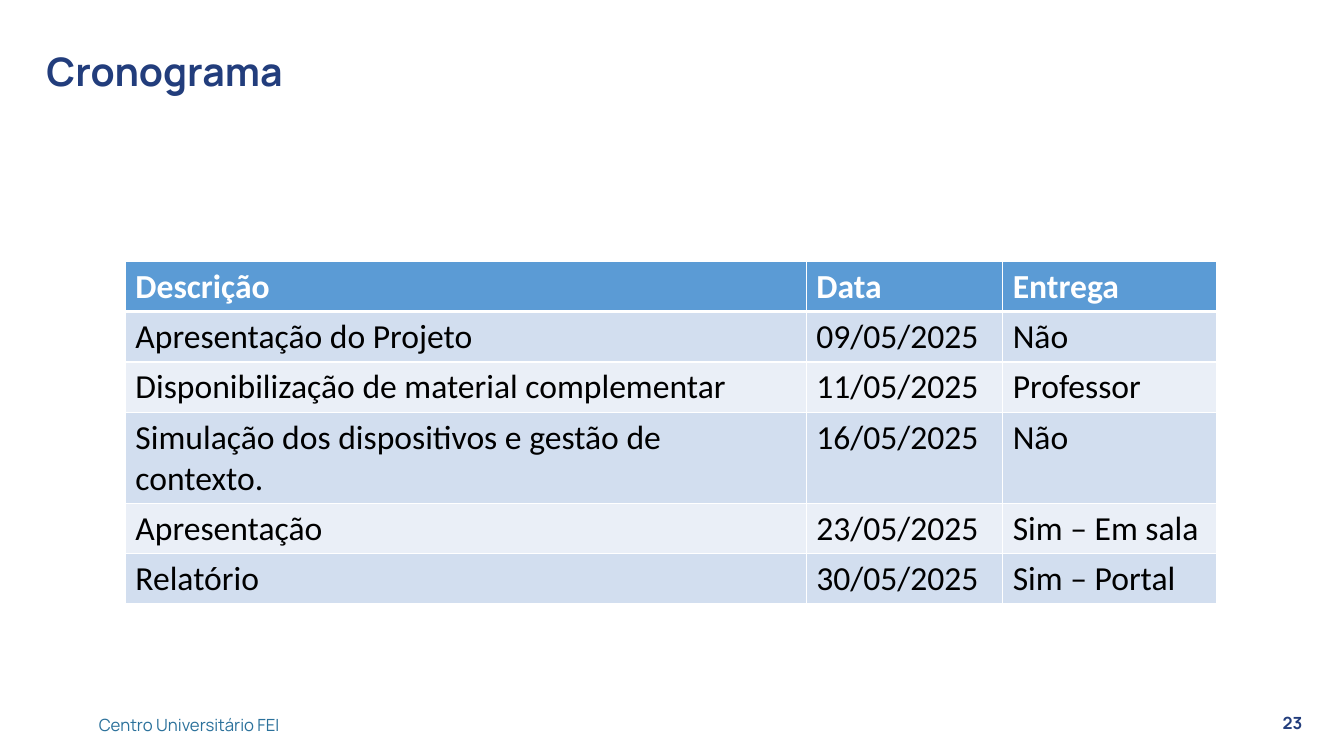
from dataclasses import dataclass
from typing import Optional

from lxml.etree import SubElement
from pptx import Presentation
from pptx.dml.color import RGBColor
from pptx.enum.shapes import MSO_SHAPE
from pptx.enum.text import MSO_ANCHOR, PP_ALIGN
from pptx.oxml.ns import qn
from pptx.slide import Slide
from pptx.table import _Cell as Cell
from pptx.text.text import _Paragraph as Paragraph
from pptx.util import Cm, Pt

NAVY = RGBColor(0x22, 0x3D, 0x7C)
TEAL = RGBColor(0x2B, 0x71, 0x9B)
WHITE = RGBColor(0xFF, 0xFF, 0xFF)
BLACK = RGBColor(0x00, 0x00, 0x00)
HEADER_BLUE = RGBColor(0x5B, 0x9B, 0xD5)
BAND_DARK = RGBColor(0xD2, 0xDE, 0xEF)
BAND_LIGHT = RGBColor(0xEA, 0xEF, 0xF7)

COLUMN_WIDTHS = (17.16, 4.95, 5.38)
TABLE_HEIGHT = 7.62
ROW_HEIGHT = 1.03
SCHEDULE = (
    ("Descrição", "Data", "Entrega"),
    ("Apresentação do Projeto", "09/05/2025", "Não"),
    ("Disponibilização de material complementar", "11/05/2025", "Professor"),
    ("Simulação dos dispositivos e gestão de contexto.", "16/05/2025", "Não"),
    ("Apresentação", "23/05/2025", "Sim – Em sala"),
    ("Relatório", "30/05/2025", "Sim – Portal"),
)


@dataclass(frozen=True)
class Label:
    text: str
    left: float
    top: float
    width: float
    height: float
    size: int
    color: RGBColor
    bold: bool = False
    align: PP_ALIGN = PP_ALIGN.LEFT
    anchor: MSO_ANCHOR = MSO_ANCHOR.TOP
    fill: Optional[RGBColor] = None


LABELS = (
    Label("Cronograma", 0.92, 0.43, 31.98, 2.87, 28, NAVY, True,
          anchor=MSO_ANCHOR.MIDDLE),
    Label("Centro Universitário FEI", 2.24, 17.95, 24.41, 0.71, 12, TEAL),
    Label("23", 31.47, 17.88, 1.6, 0.71, 12, NAVY, True, PP_ALIGN.RIGHT,
          fill=WHITE),
)


def format_runs(paragraph: Paragraph, font_name: str, size: int,
                color: RGBColor, bold: bool) -> None:
    for run in paragraph.runs:
        run.font.name = font_name
        run.font.size = Pt(size)
        run.font.color.rgb = color
        run.font.bold = bold


def add_label(slide: Slide, label: Label) -> None:
    bounds = (Cm(label.left), Cm(label.top), Cm(label.width), Cm(label.height))
    if label.fill is None:
        shape = slide.shapes.add_textbox(*bounds)
    else:
        shape = slide.shapes.add_shape(MSO_SHAPE.RECTANGLE, *bounds)
        shape.shadow.inherit = False
        shape.fill.solid()
        shape.fill.fore_color.rgb = label.fill
        shape.line.fill.background()
    text_frame = shape.text_frame
    text_frame.word_wrap = True
    text_frame.vertical_anchor = label.anchor
    text_frame.text = label.text
    paragraph = text_frame.paragraphs[0]
    paragraph.alignment = label.align
    paragraph.line_spacing = 0.9
    format_runs(paragraph, "Manrope", label.size, label.color, label.bold)


def add_borders(cell: Cell, top: int, bottom: int) -> None:
    properties = cell._tc.get_or_add_tcPr()
    for side, width in (("L", 1), ("R", 1), ("T", top), ("B", bottom)):
        line = SubElement(properties, qn(f"a:ln{side}"), w=str(Pt(width)))
        fill = SubElement(line, qn("a:solidFill"))
        SubElement(fill, qn("a:srgbClr"), val=str(WHITE))


def add_schedule(slide: Slide) -> None:
    table = slide.shapes.add_table(
        len(SCHEDULE), len(COLUMN_WIDTHS), Cm(3.16), Cm(6.58),
        Cm(sum(COLUMN_WIDTHS)), Cm(TABLE_HEIGHT)).table
    for column, width in zip(table.columns, COLUMN_WIDTHS):
        column.width = Cm(width)
    for row_index, values in enumerate(SCHEDULE):
        table.rows[row_index].height = Cm(ROW_HEIGHT)
        is_header = row_index == 0
        band = BAND_DARK if row_index % 2 else BAND_LIGHT
        for column_index, value in enumerate(values):
            cell = table.cell(row_index, column_index)
            cell.text_frame.text = value
            format_runs(cell.text_frame.paragraphs[0], "Calibri", 24,
                        WHITE if is_header else BLACK, is_header)
            add_borders(cell, top=3 if row_index == 1 else 1,
                        bottom=3 if is_header else 1)
            cell.fill.solid()
            cell.fill.fore_color.rgb = HEADER_BLUE if is_header else band


def main() -> None:
    presentation = Presentation()
    presentation.slide_width = Cm(33.87)
    presentation.slide_height = Cm(19.05)
    slide = presentation.slides.add_slide(presentation.slide_layouts[6])
    for label in LABELS:
        add_label(slide, label)
    add_schedule(slide)
    presentation.save("out.pptx")


if __name__ == "__main__":
    main()
